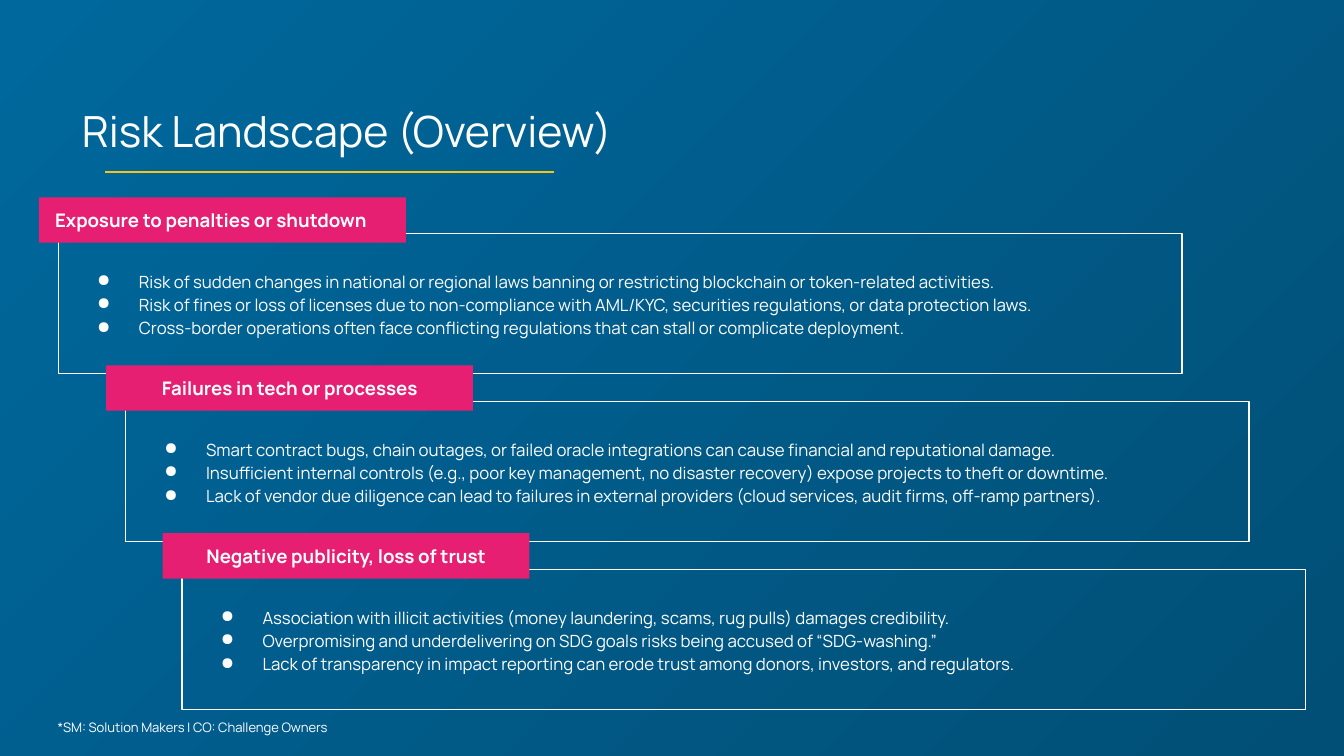
from lxml.etree import SubElement
from pptx import Presentation
from pptx.dml.color import RGBColor
from pptx.enum.shapes import MSO_CONNECTOR as Connector, MSO_SHAPE as Shape
from pptx.enum.text import MSO_ANCHOR as Anchor, PP_ALIGN as Align
from pptx.oxml.ns import qn
from pptx.util import Inches, Pt

WHITE, PINK, YELLOW = "FFFFFF", "E71F72", "FBC410"


def color(hex_value):
    return RGBColor.from_string(hex_value)


def write(shape, text, size=9, bold=False, align=Align.LEFT, anchor=Anchor.TOP,
          spacing=1, bullet=None, left=0.1):
    frame = shape.text_frame
    frame.word_wrap = True
    frame.vertical_anchor = anchor
    frame.margin_left = Inches(left)
    frame.margin_right = frame.margin_top = frame.margin_bottom = Inches(0.1)
    frame.text = text
    for paragraph in frame.paragraphs:
        paragraph.alignment = align
        paragraph.line_spacing = spacing
        if bullet:
            properties = paragraph._p.get_or_add_pPr()
            properties.set("marL", str(Inches(0.5)))
            properties.set("indent", str(Inches(-0.31)))
            bullet_color = SubElement(properties, qn("a:buClr"))
            SubElement(bullet_color, qn("a:srgbClr"), val=WHITE)
            SubElement(properties, qn("a:buChar"), char=bullet)
        font = paragraph.runs[0].font
        font.name, font.size, font.bold = "Manrope", Pt(size), bold
        font.color.rgb = color(WHITE)


presentation = Presentation()
presentation.slide_width, presentation.slide_height = Inches(10), Inches(5.625)
column = presentation.slide_width / 100
row = presentation.slide_height / 100
slide = presentation.slides.add_slide(presentation.slide_layouts[6])

background = slide.background.fill
background.gradient()
background.gradient_angle = 315
for stop, shade in zip(background.gradient_stops, ("00689D", "014F76")):
    stop.color.rgb = color(shade)
    stop.position = 0 if shade == "00689D" else 1

title = slide.shapes.add_textbox(
    int(-1.4 * column), int(12.1 * row), int(54.5 * column), int(17.4 * row))
write(title, "Risk Landscape (Overview)", size=23, align=Align.CENTER)

underline = slide.shapes.add_connector(
    Connector.STRAIGHT, int(7.8 * column), int(22.75 * row),
    int(41.2 * column), int(22.75 * row))
underline.line.color.rgb = color(YELLOW)
underline.line.width = Pt(1.5)
SubElement(underline._element.spPr, qn("a:effectLst"))

risks = [
    (2.9, "Exposure to penalties or shutdown", Align.LEFT, [
        "Risk of sudden changes in national or regional laws banning or restricting blockchain or token-related activities.",
        "Risk of fines or loss of licenses due to non-compliance with AML/KYC, securities regulations, or data protection laws.",
        "Cross-border operations often face conflicting regulations that can stall or complicate deployment.",
    ]),
    (7.9, "Failures in tech or processes", Align.CENTER, [
        "Smart contract bugs, chain outages, or failed oracle integrations can cause financial and reputational damage.",
        "Insufficient internal controls (e.g., poor key management, no disaster recovery) expose projects to theft or downtime.",
        "Lack of vendor due diligence can lead to failures in external providers (cloud services, audit firms, off-ramp partners).",
    ]),
    (12.1, "Negative publicity, loss of trust", Align.CENTER, [
        "Association with illicit activities (money laundering, scams, rug pulls) damages credibility.",
        "Overpromising and underdelivering on SDG goals risks being accused of “SDG-washing.”",
        "Lack of transparency in impact reporting can erode trust among donors, investors, and regulators.",
    ]),
]
for index, (left, heading, align, points) in enumerate(risks):
    top = 26.1 + index * 22.22
    panel = slide.shapes.add_shape(
        Shape.RECTANGLE, int((left + 1.45) * column), int((top + 4.8) * row),
        int(83.6 * column), int(18.5 * row))
    panel.shadow.inherit = False
    panel.fill.background()
    panel.line.color.rgb = color(WHITE)
    panel.line.width = Pt(0.75)
    write(panel, "\n".join(points), anchor=Anchor.MIDDLE, spacing=1.15, bullet="●")

    label = slide.shapes.add_shape(
        Shape.RECTANGLE, int(left * column), int(top * row),
        int(27.3 * column), int(6 * row))
    label.shadow.inherit = False
    label.fill.solid()
    label.fill.fore_color.rgb = color(PINK)
    label.line.fill.background()
    write(label, heading, size=10, bold=True, align=align, anchor=Anchor.MIDDLE,
          left=0.12 if align == Align.LEFT else 0.1)

footnote = slide.shapes.add_textbox(
    int(3.3 * column), int(93.7 * row), int(32.8 * column), int(5.7 * row))
write(footnote, "*SM: Solution Makers | CO: Challenge Owners", size=7, spacing=1.15)

presentation.save("out.pptx")
